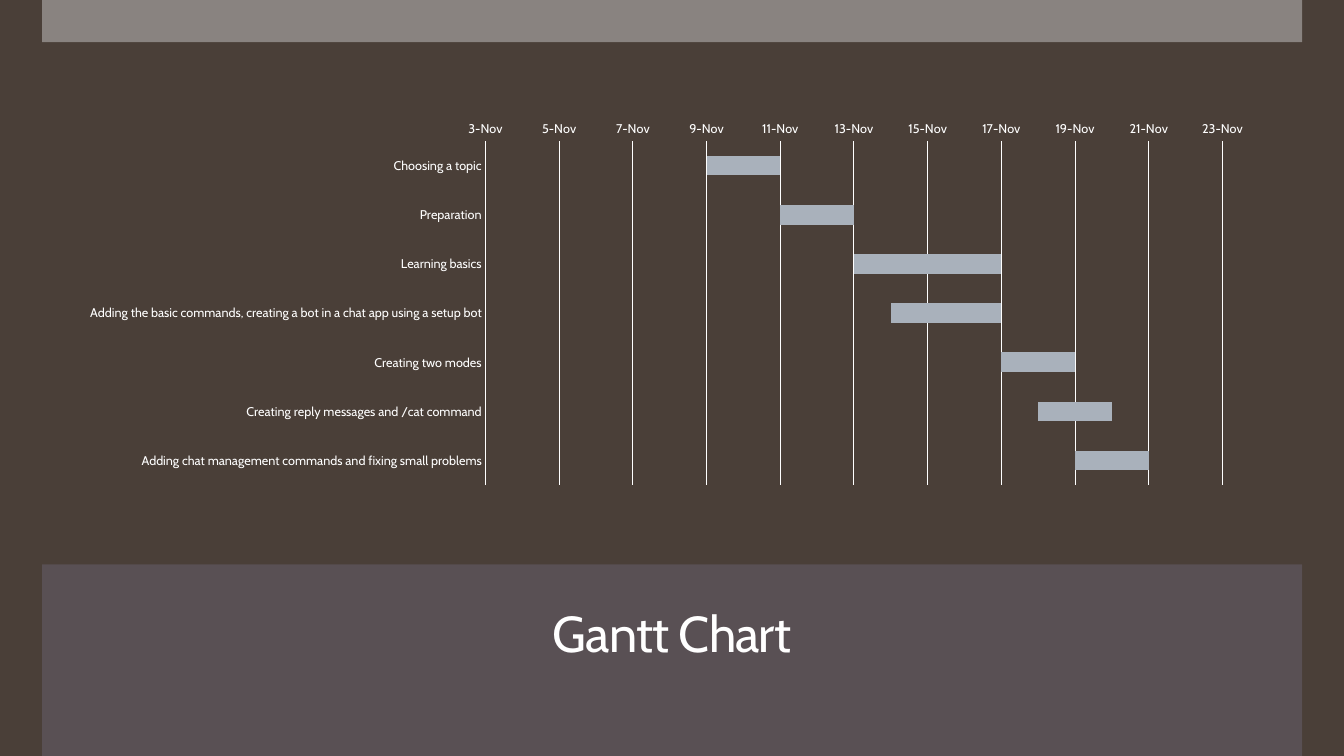
"""Build a slide with a Gantt chart of a chat bot project."""
from lxml.etree import SubElement
from pptx import Presentation
from pptx.chart.data import CategoryChartData
from pptx.dml.color import RGBColor
from pptx.enum.chart import XL_CHART_TYPE, XL_TICK_MARK
from pptx.enum.shapes import MSO_SHAPE
from pptx.enum.text import MSO_ANCHOR, PP_ALIGN
from pptx.oxml import parse_xml
from pptx.oxml.ns import nsdecls, qn
from pptx.util import Pt

TITLE = "Gantt Chart"
TASKS = [
    ("Choosing a topic", 9, 2),
    ("Preparation", 11, 2),
    ("Learning basics", 13, 4),
    ("Adding the basic commands, creating a bot in a chat app using a setup bot", 14, 3),
    ("Creating two modes", 17, 2),
    ("Creating reply messages and /cat command", 18, 2),
    ("Adding chat management commands and fixing small problems", 19, 2),
]
OCTOBER_END = 44135
FIRST_DAY, LAST_DAY, DAY_STEP = 3, 23, 2

FONT = "Cabin"
BROWN = RGBColor(0x4A, 0x3F, 0x38)
PLUM = RGBColor(0x5A, 0x51, 0x55)
GREY = RGBColor(0xC8, 0xC8, 0xC8)
STEEL = RGBColor(0xA9, 0xB1, 0xBB)
WHITE = RGBColor(0xFF, 0xFF, 0xFF)

SLIDE_SIZE = (960, 540)
BANDS = [
    ((30.2, 403.2, 900, 136.8), PLUM, 98),
    ((30.2, 0, 900, 30.2), GREY, 50),
]
TITLE_BOX = (50.4, 414, 859.2, 80.6)
CHART_BOX = (55.4, 81.4, 849.6, 271.4)
PLOT_BOX = (346.8, 100.8, 526.4, 245.9)


def set_all(target, values):
    for name, value in values.items():
        setattr(target, name, value)


def style_font(font, size):
    set_all(font, {"name": FONT, "size": Pt(size)})
    font.color.rgb = WHITE


def style_line(line):
    line.color.rgb = WHITE
    line.width = Pt(0.75)


def add_band(slide, box, color, opacity):
    band = slide.shapes.add_shape(MSO_SHAPE.RECTANGLE, *map(Pt, box))
    band.shadow.inherit = False
    band.line.fill.background()
    band.fill.solid()
    band.fill.fore_color.rgb = color
    tint = next(band.fill._xPr.iter(qn("a:srgbClr")))
    SubElement(tint, qn("a:alpha"), val=str(opacity * 1000))


def add_title(slide):
    title = slide.shapes.add_textbox(*map(Pt, TITLE_BOX))
    set_all(title.text_frame, {"word_wrap": True, "vertical_anchor": MSO_ANCHOR.MIDDLE})
    line = title.text_frame.paragraphs[0]
    set_all(line, {"alignment": PP_ALIGN.CENTER, "line_spacing": 0.9})
    run = line.add_run()
    run.text = TITLE
    style_font(run.font, 36)
    run.font._element.set("spc", "-60")


def place_plot(chart):
    left, top, width, height = CHART_BOX
    x, y, w, h = PLOT_BOX
    shares = {"x": (x - left) / width, "y": (y - top) / height, "w": w / width, "h": h / height}
    modes = '<c:layoutTarget val="inner"/><c:xMode val="edge"/><c:yMode val="edge"/>'
    sizes = "".join(f'<c:{key} val="{share:.4f}"/>' for key, share in shares.items())
    plot_area = chart._chartSpace.chart.plotArea
    for layout in plot_area.findall(qn("c:layout")):
        plot_area.remove(layout)
    plot_area.insert(0, parse_xml(
        f'<c:layout {nsdecls("c")}><c:manualLayout>{modes}{sizes}</c:manualLayout></c:layout>'))


def add_gantt(slide):
    names, starts, durations = zip(*TASKS)
    schedule = CategoryChartData()
    schedule.categories = names
    schedule.add_series("Series 1", [OCTOBER_END + day for day in starts])
    schedule.add_series("Series 2", durations)
    chart = slide.shapes.add_chart(
        XL_CHART_TYPE.BAR_STACKED, *map(Pt, CHART_BOX), schedule).chart
    set_all(chart, {"has_legend": False, "has_title": False})
    style_font(chart.font, 10)

    bars = chart.plots[0]
    set_all(bars, {"gap_width": 150, "overlap": 100, "vary_by_categories": False})
    offset, duration = bars.series
    offset.format.fill.background()
    duration.format.fill.solid()
    duration.format.fill.fore_color.rgb = STEEL

    tasks, days = chart.category_axis, chart.value_axis
    for axis in (tasks, days):
        set_all(axis, {"major_tick_mark": XL_TICK_MARK.NONE, "minor_tick_mark": XL_TICK_MARK.NONE})
        style_font(axis.tick_labels.font, 9)
    set_all(tasks, {"reverse_order": True, "has_major_gridlines": False})
    style_line(tasks.format.line)
    set_all(days, {
        "minimum_scale": OCTOBER_END + FIRST_DAY,
        "maximum_scale": OCTOBER_END + LAST_DAY,
        "major_unit": DAY_STEP,
        "has_major_gridlines": True,
    })
    set_all(days.tick_labels, {"number_format": "d\\-mmm", "number_format_is_linked": False})
    days.format.line.fill.background()
    style_line(days.major_gridlines.format.line)
    place_plot(chart)


def main():
    deck = Presentation()
    deck.slide_width, deck.slide_height = map(Pt, SLIDE_SIZE)
    slide = deck.slides.add_slide(deck.slide_layouts[6])
    slide.background.fill.solid()
    slide.background.fill.fore_color.rgb = BROWN
    for band in BANDS:
        add_band(slide, *band)
    add_title(slide)
    add_gantt(slide)
    deck.save("out.pptx")


if __name__ == "__main__":
    main()
